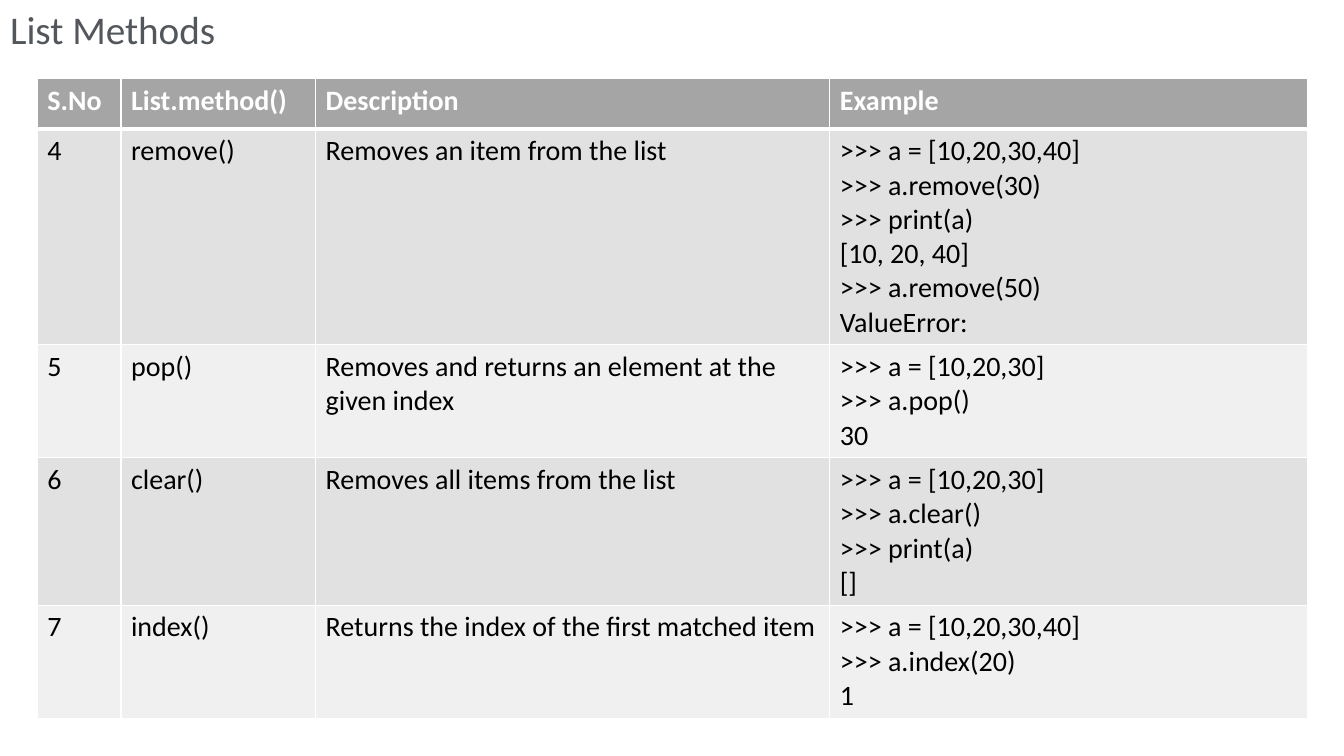
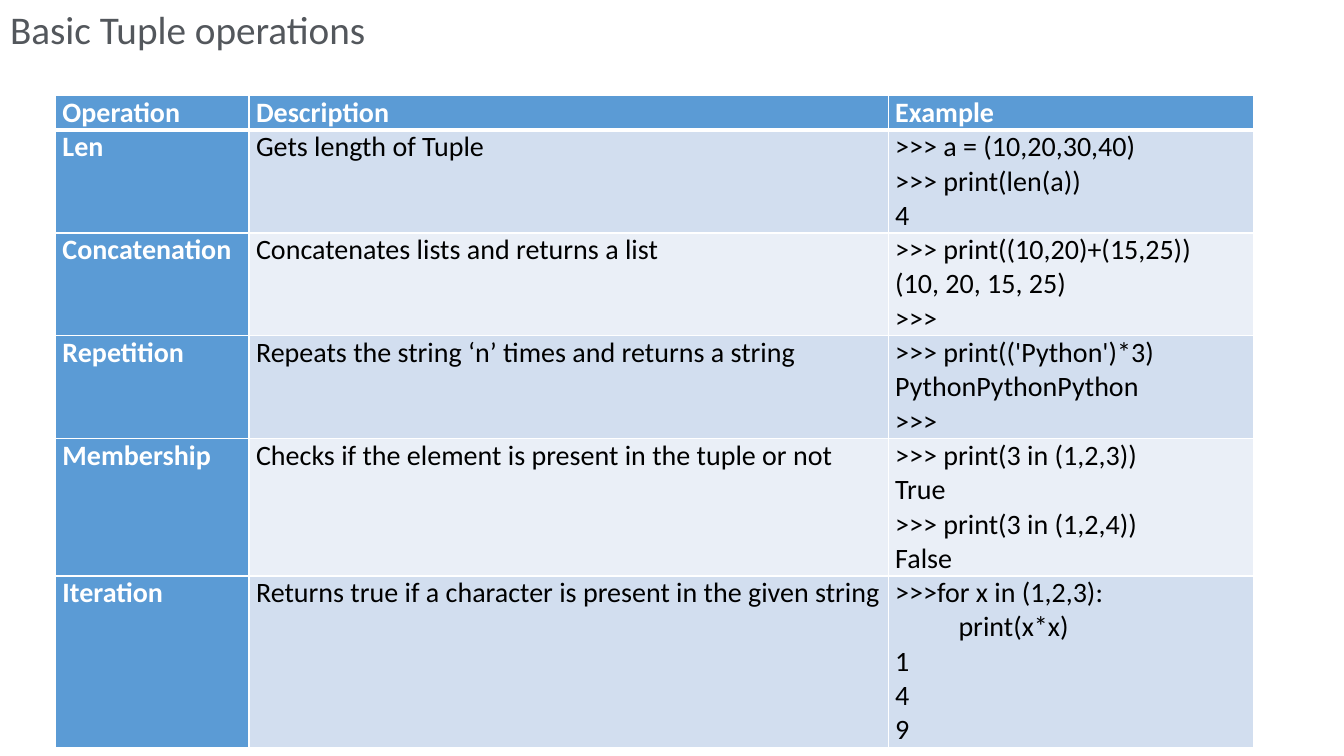
from lxml import etree
from pptx import Presentation
from pptx.dml.color import RGBColor
from pptx.enum.text import MSO_ANCHOR, MSO_AUTO_SIZE, PP_ALIGN
from pptx.oxml.ns import qn
from pptx.util import Inches, Pt

LEFT, TOP, NO_FIT = PP_ALIGN.LEFT, MSO_ANCHOR.TOP, MSO_AUTO_SIZE.NONE
SLIDE_W, SLIDE_H = 13.33, 7.5
TITLE_ONLY = 5
FONT = "Calibri"
WHITE, BLACK, TITLE_GREY = "FFFFFF", "000000", "53575C"
LINE_H = 0.33  # height of one 20 pt line
THIN, THICK = 1, 3

LIST_METHODS = {
    "title": "List Methods",
    "box": (0.37, 0.78),
    "columns": (0.83, 1.93, 5.1, 4.74),
    "header_h": 0.5,
    "insets": (0.1, 0.05),
    "accent": "A5A5A5",
    "bands": ("E1E1E1", "F0F0F0"),
    "key_column": False,
    "rows": [
        ("S.No", "List.method()", "Description", "Example"),
        ("4", "remove()", "Removes an item from the list",
         ">>> a = [10,20,30,40]\n>>> a.remove(30)\n>>> print(a)\n"
         "[10, 20, 40]\n>>> a.remove(50)\nValueError:"),
        ("5", "pop()", "Removes and returns an element at the given index",
         ">>> a = [10,20,30]\n>>> a.pop()\n30"),
        ("6", "clear()", "Removes all items from the list",
         ">>> a = [10,20,30]\n>>> a.clear()\n>>> print(a)\n[]"),
        ("7", "index()", "Returns the index of the first matched item",
         ">>> a = [10,20,30,40]\n>>> a.index(20)\n1"),
    ],
}

TUPLE_OPERATIONS = {
    "title": "Basic Tuple operations",
    "box": (0.55, 0.95),
    "columns": (1.92, 6.34, 3.62),
    "header_h": LINE_H,
    "insets": (0.07, 0),
    "accent": "5B9BD5",
    "bands": ("D2DEEF", "EAEFF7"),
    "key_column": True,
    "rows": [
        ("Operation", "Description", "Example"),
        ("Len", "Gets length of Tuple",
         ">>> a = (10,20,30,40)\n>>> print(len(a))\n4"),
        ("Concatenation", "Concatenates lists and returns a list",
         ">>> print((10,20)+(15,25))\n(10, 20, 15, 25)\n>>>"),
        ("Repetition", "Repeats the string ‘n’ times and returns a string",
         ">>> print(('Python')*3)\nPythonPythonPython\n>>>"),
        ("Membership", "Checks if the element is present in the tuple or not",
         ">>> print(3 in (1,2,3))\nTrue\n>>> print(3 in (1,2,4))\nFalse"),
        ("Iteration", "Returns true if a character is present in the given string",
         ">>>for x in (1,2,3):\n          print(x*x)\n1\n4\n9"),
    ],
}


def rgb(color):
    return RGBColor.from_string(color)


def set_attributes(target, values):
    for name, value in values.items():
        setattr(target, name, value)


def format_text(frame, size, color, bold=False):
    for paragraph in frame.paragraphs:
        paragraph.alignment = LEFT
        set_attributes(paragraph.font, {"name": FONT, "size": Pt(size), "bold": bold})
        paragraph.font.color.rgb = rgb(color)


def add_title(slide, text):
    title = slide.shapes.title
    set_attributes(title, {"left": 0, "top": 0, "width": Inches(SLIDE_W),
                           "height": Inches(0.57)})
    frame = title.text_frame
    frame.text = text
    set_attributes(frame, {"word_wrap": True, "auto_size": NO_FIT,
                           "vertical_anchor": TOP})
    format_text(frame, 28, TITLE_GREY)


def add_borders(cell, top, bottom):
    properties = cell._tc.get_or_add_tcPr()
    for side, width in (("L", THIN), ("R", THIN), ("T", top), ("B", bottom)):
        border = etree.SubElement(properties, qn(f"a:ln{side}"), w=str(Pt(width)))
        solid = etree.SubElement(border, qn("a:solidFill"))
        etree.SubElement(solid, qn("a:srgbClr"), val=WHITE)


def format_cell(cell, topic, row, column):
    is_key = row == 0 or (topic["key_column"] and column == 0)
    # Borders come first: the fill must follow them in the cell properties
    add_borders(cell, THICK if row == 1 else THIN, THICK if row == 0 else THIN)
    cell.fill.solid()
    cell.fill.fore_color.rgb = rgb(topic["accent"] if is_key else topic["bands"][(row - 1) % 2])
    side, edge = map(Inches, topic["insets"])
    set_attributes(cell, {"margin_left": side, "margin_right": side, "margin_top": edge,
                          "margin_bottom": edge, "vertical_anchor": TOP})
    format_text(cell.text_frame, 20, WHITE if is_key else BLACK, is_key)


def add_reference_table(slide, topic):
    rows, columns = topic["rows"], topic["columns"]
    # Each row is as tall as the lines of its example
    heights = [topic["header_h"]] + [
        LINE_H * len(row[-1].split("\n")) + 2 * topic["insets"][1] for row in rows[1:]]
    left, top = topic["box"]
    table = slide.shapes.add_table(len(rows), len(columns), Inches(left), Inches(top),
                                   Inches(sum(columns)), Inches(sum(heights))).table
    table.first_col = topic["key_column"]
    for column, width in zip(table.columns, columns):
        column.width = Inches(width)
    for r, (texts, height) in enumerate(zip(rows, heights)):
        table.rows[r].height = Inches(height)
        for c, text in enumerate(texts):
            cell = table.cell(r, c)
            cell.text = text
            format_cell(cell, topic, r, c)


def main():
    deck = Presentation()
    set_attributes(deck, {"slide_width": Inches(SLIDE_W), "slide_height": Inches(SLIDE_H)})
    for topic in (LIST_METHODS, TUPLE_OPERATIONS):
        slide = deck.slides.add_slide(deck.slide_layouts[TITLE_ONLY])
        add_title(slide, topic["title"])
        add_reference_table(slide, topic)
    deck.save("out.pptx")


if __name__ == "__main__":
    main()
